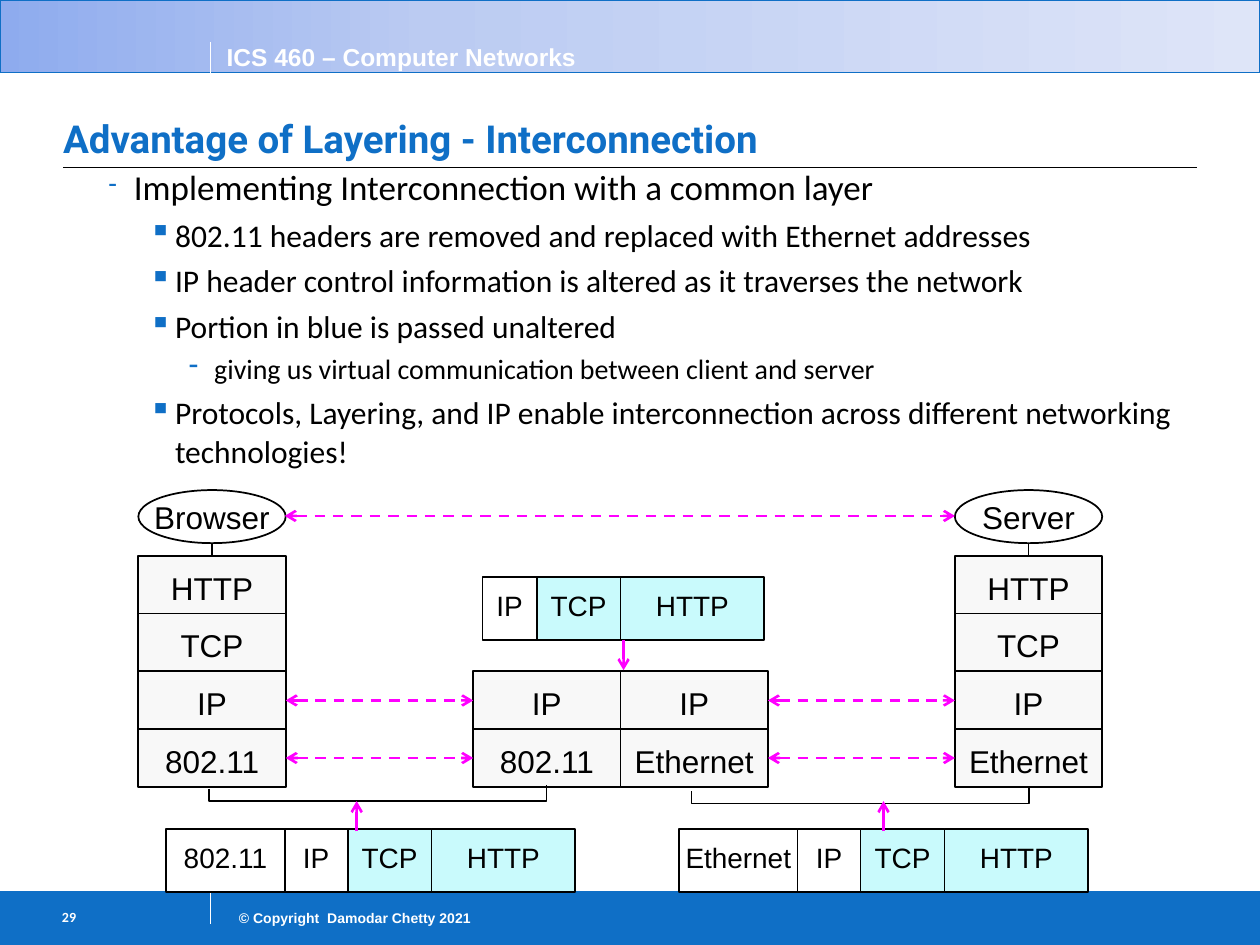
from copy import deepcopy

from pptx import Presentation
from pptx.dml.color import RGBColor
from pptx.enum.dml import MSO_LINE
from pptx.enum.shapes import MSO_CONNECTOR, MSO_SHAPE
from pptx.enum.text import MSO_ANCHOR, PP_ALIGN
from pptx.oxml.ns import qn
from pptx.oxml.xmlchemy import OxmlElement
from pptx.util import Cm, Pt

RECT, OVAL = MSO_SHAPE.RECTANGLE, MSO_SHAPE.OVAL
STRAIGHT = MSO_CONNECTOR.STRAIGHT
DASH = MSO_LINE.DASH
LEFT, CENTER, RIGHT = PP_ALIGN.LEFT, PP_ALIGN.CENTER, PP_ALIGN.RIGHT
TOP, MIDDLE, BOTTOM = MSO_ANCHOR.TOP, MSO_ANCHOR.MIDDLE, MSO_ANCHOR.BOTTOM

BLUE, BLACK, WHITE = "0F6FC6", "000000", "FFFFFF"
GREY, CYAN, MAGENTA = "F8F8F8", "C9FAFC", "FF00FF"

BOX_W, BOX_H, ROW_PITCH, STACK_TOP = 2.97, 1.18, 1.16, 11.21
OVAL_TOP, OVAL_H = 9.88, 1.07
PACKET_H = 1.27

LEVELS = {
    1: ("-", 20, 1.3, 0.51, 70),
    2: ("▪", 18, 2.13, 0.53, 100),
    3: ("-", 16, 2.92, 0.51, 100),
}
BODY = [
    (1, "Implementing Interconnection with a common layer"),
    (2, "802.11 headers are removed and replaced with Ethernet addresses"),
    (2, "IP header control information is altered as it traverses the network"),
    (2, "Portion in blue is passed unaltered"),
    (3, "giving us virtual communication between client and server"),
    (2, "Protocols, Layering, and IP enable interconnection across different "
        "networking technologies!"),
]


def rgb(value):
    return RGBColor.from_string(value)


def set_frame(tf, insets, anchor=TOP, wrap=True):
    tf.margin_left, tf.margin_top, tf.margin_right, tf.margin_bottom = map(Cm, insets)
    tf.vertical_anchor = anchor
    tf.word_wrap = wrap


def add_run(p, text, size, color, font="Arial", bold=False):
    r = p.add_run()
    r.text = text
    r.font.size = Pt(size)
    r.font.name = font
    r.font.bold = bold
    r.font.color.rgb = rgb(color)


def add_text(s, box, text, size, align=LEFT, font="Arial",
             insets=(0.25, 0.13, 0.25, 0.13)):
    tf = s.shapes.add_textbox(*map(Cm, box)).text_frame
    set_frame(tf, insets)
    p = tf.paragraphs[0]
    p.alignment = align
    add_run(p, text, size, WHITE, font, True)


def add_box(s, box, fill, text="", size=18, kind=RECT, line=BLACK, width=1,
            insets=(0, 0.1, 0, 0)):
    sp = s.shapes.add_shape(kind, *map(Cm, box))
    sp.shadow.inherit = False
    sp.fill.solid()
    sp.fill.fore_color.rgb = rgb(fill)
    sp.line.color.rgb = rgb(line)
    sp.line.width = Pt(width)
    if text:
        set_frame(sp.text_frame, insets, MIDDLE, False)
        p = sp.text_frame.paragraphs[0]
        p.alignment = CENTER
        add_run(p, text, size, BLACK)
    return sp


def add_line(s, start, end, color=BLACK, width=1.0):
    cx = s.shapes.add_connector(STRAIGHT, *map(Cm, start + end))
    cx.line.color.rgb = rgb(color)
    cx.line.width = Pt(width)
    cx._element.spPr.append(OxmlElement("a:effectLst"))
    return cx


def add_arrow(s, start, end, both=False):
    cx = add_line(s, start, end, MAGENTA, 1.5)
    if both:
        cx.line.dash_style = DASH
    ln = cx.line._get_or_add_ln()
    for tag in ("a:headEnd", "a:tailEnd") if both else ("a:tailEnd",):
        tip = OxmlElement(tag)
        tip.set("type", "arrow")
        ln.append(tip)
    return cx


def link_boxes(s, left, right):
    cx = add_arrow(s, (0, 0), (1, 1), True)
    cx.begin_connect(left, 3)
    cx.end_connect(right, 1)


def add_stack(s, x, first_row, labels):
    return [add_box(s, (x, STACK_TOP + row * ROW_PITCH, BOX_W, BOX_H), GREY, label)
            for row, label in enumerate(labels, first_row)]


def add_host(s, x, name, labels):
    add_box(s, (x, OVAL_TOP, BOX_W, OVAL_H), WHITE, name, kind=OVAL, insets=(0, 0, 0, 0))
    stack = add_stack(s, x, 0, labels)
    mid = x + BOX_W / 2
    cx = add_line(s, (mid, OVAL_TOP + OVAL_H), (mid, STACK_TOP))
    cx.end_connect(stack[0], 0)
    return stack


def add_packet(s, x, top, fields):
    for label, width in fields:
        fill = CYAN if label in ("TCP", "HTTP") else WHITE
        add_box(s, (x, top, width, PACKET_H), fill, label, 16, insets=(0, 0, 0, 0.13))
        x += width


def add_bracket(s, x, y):
    points = [(x, y), (x, y + 0.25), (x + 6.8, y + 0.25), (x + 6.8, y - 0.08)]
    corners = [(Cm(px), Cm(py)) for px, py in points]
    fb = s.shapes.build_freeform(*corners[0])
    fb.add_line_segments(corners[1:], close=False)
    sp = fb.convert_to_shape()
    sp.shadow.inherit = False
    sp.fill.background()
    sp.line.color.rgb = rgb(BLACK)
    sp.line.width = Pt(1)


def add_bullet(p, char, margin, hang, percent):
    pPr = p._p.get_or_add_pPr()
    pPr.set("marL", str(Cm(margin)))
    pPr.set("indent", str(-Cm(hang)))
    color = OxmlElement("a:buClr")
    value = OxmlElement("a:srgbClr")
    value.set("val", BLUE)
    color.append(value)
    size = OxmlElement("a:buSzPct")
    size.set("val", str(percent * 1000))
    bullet = OxmlElement("a:buChar")
    bullet.set("char", char)
    pPr.extend([color, size, bullet])


def add_body(s):
    tf = s.shapes.add_textbox(Cm(1.27), Cm(3.18), Cm(24.13), Cm(9)).text_frame
    set_frame(tf, (0.13, 0.13, 0.13, 0.13))
    for i, (level, text) in enumerate(BODY):
        char, size, margin, hang, percent = LEVELS[level]
        p = tf.add_paragraph() if i else tf.paragraphs[0]
        p.level = level
        p.line_spacing = 1.04
        p.space_before = Pt(0.2 * size if i else 0)
        add_bullet(p, char, margin, hang, percent)
        add_run(p, text, size, BLACK, "Calibri")


def add_frame(s):
    add_box(s, (0, 17.98, 25.4, 1.07), BLUE, line=BLUE, width=0.75)
    header = add_box(s, (0, 0, 25.4, 1.47), WHITE, line=BLUE, width=0.75)
    header.fill.gradient()
    header.fill.gradient_angle = 0
    stops = header._element.spPr.find(".//" + qn("a:gsLst"))
    stops.insert(1, deepcopy(stops[0]))
    shades = ((0, "8EABEE"), (0.34, "BBCBF2"), (1, "DEE5F8"))
    for stop, (position, color) in zip(header.fill.gradient_stops, shades):
        stop.position = position
        stop.color.rgb = rgb(color)
    for y in (1.47, 17.98):
        add_line(s, (0, y), (25.4, y), BLUE, 0.5)
    for top, bottom in ((0.84, 1.47), (17.98, 18.62)):
        add_line(s, (4.24, bottom), (4.24, top), WHITE, 0.75)
    add_line(s, (1.27, 3.38), (24.13, 3.38), BLACK, 0.75)
    add_text(s, (4.32, 0.71, 10.29, 0.86), "ICS 460 – Computer Networks", 14)
    add_text(s, (4.24, 18.21, 5.51, 0.61), "© Copyright  Damodar Chetty 2021", 8, RIGHT)
    add_text(s, (0.84, 18.14, 3.38, 0.89), "29", 8, font="Calibri",
             insets=(0.41, 0.18, 0.25, 0.13))


def set_title(s, text):
    title = s.shapes.title
    title.left, title.top, title.width, title.height = map(Cm, (1.27, 1.55, 22.86, 1.83))
    set_frame(title.text_frame, (0, 0.13, 0, 0.13), BOTTOM)
    p = title.text_frame.paragraphs[0]
    p.alignment = LEFT
    add_run(p, text, 22, BLUE, "Roboto", True)


def add_diagram(s):
    client = add_host(s, 2.79, "Browser", ["HTTP", "TCP", "IP", "802.11"])
    server = add_host(s, 19.25, "Server", ["HTTP", "TCP", "IP", "Ethernet"])
    router_in = add_stack(s, 9.54, 2, ["IP", "802.11"])
    router_out = add_stack(s, 12.51, 2, ["IP", "Ethernet"])
    add_arrow(s, (5.74, 10.4), (19.25, 10.4), True)
    for left, right in ((client[2:], router_in), (router_out, server[2:])):
        for a, b in zip(left, right):
            link_boxes(s, a, b)

    add_bracket(s, 4.22, 15.9)
    add_bracket(s, 13.94, 15.95)
    payload = [("TCP", 1.69), ("HTTP", 2.9)]
    add_packet(s, 9.73, 11.63, [("IP", 1.09)] + payload)
    for x, link in ((3.35, "802.11"), (13.69, "Ethernet")):
        add_packet(s, x, 16.71, [(link, 2.39), ("IP", 1.27)] + payload)
    for x, start, end in ((12.57, 12.9, 13.51), (7.19, 16.76, 16.15), (17.81, 16.76, 16.15)):
        add_arrow(s, (x, start), (x, end))


def main():
    prs = Presentation()
    prs.slide_width, prs.slide_height = Cm(25.4), Cm(19.05)
    s = prs.slides.add_slide(prs.slide_layouts[5])
    add_frame(s)
    set_title(s, "Advantage of Layering - Interconnection")
    add_body(s)
    add_diagram(s)
    prs.save("out.pptx")


if __name__ == "__main__":
    main()
